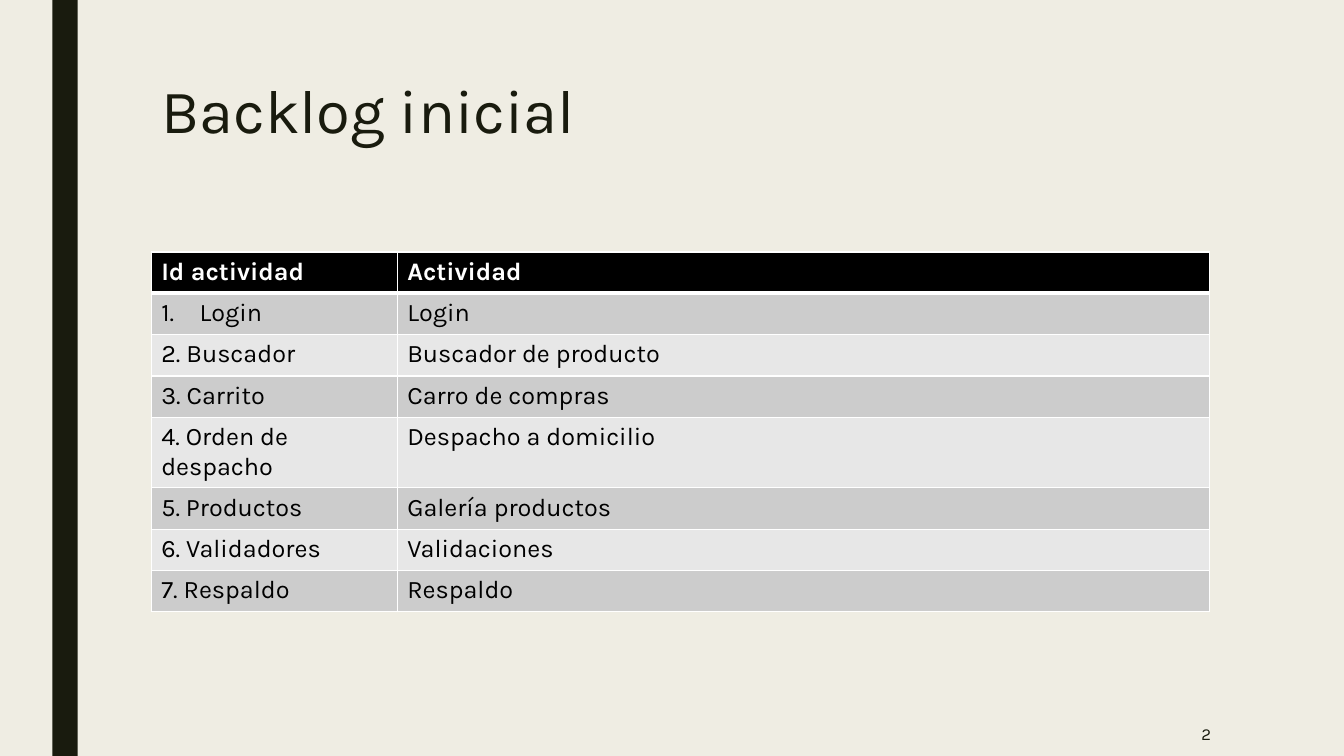
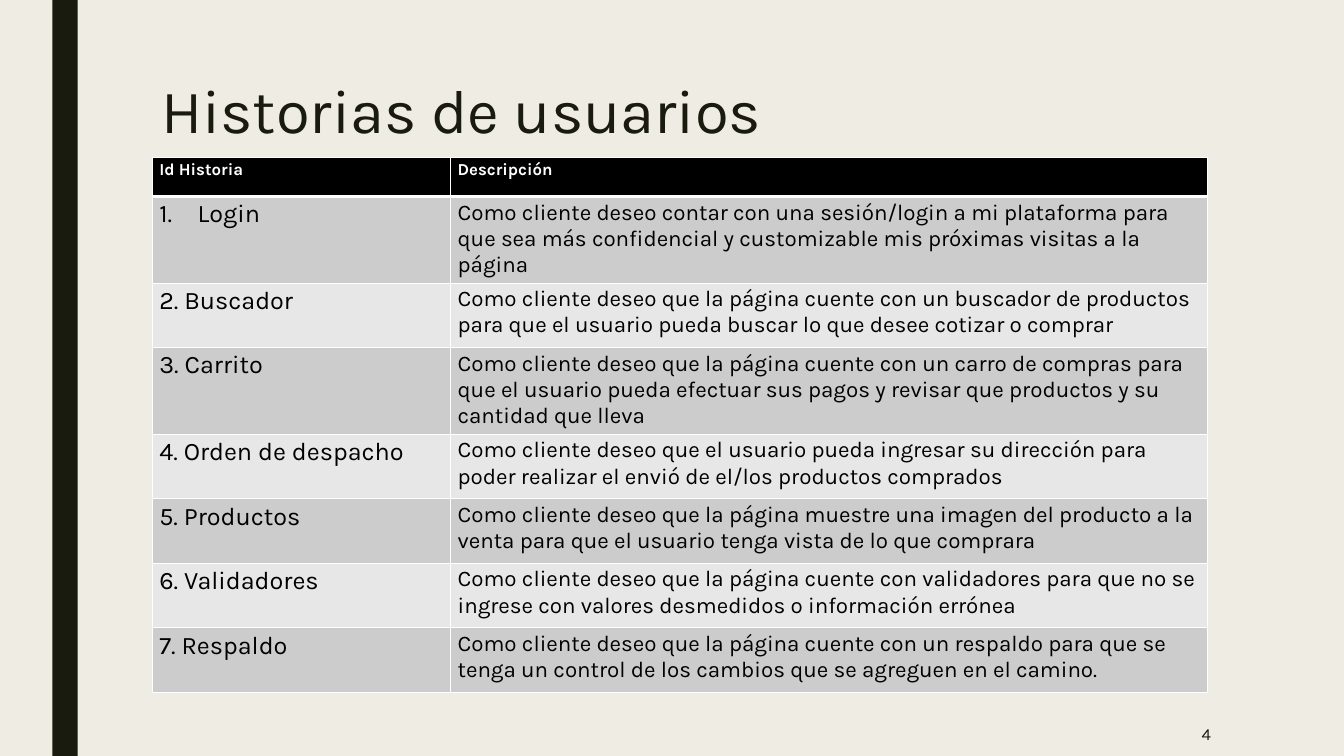
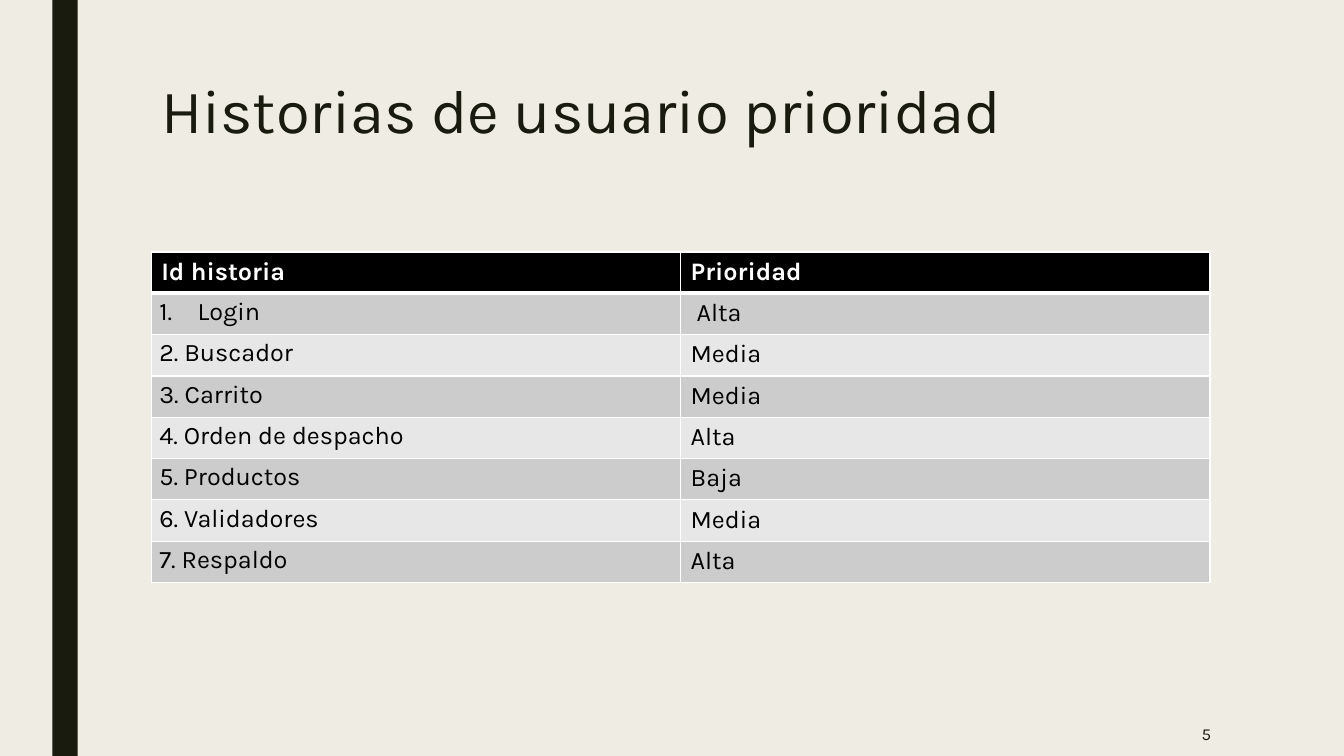
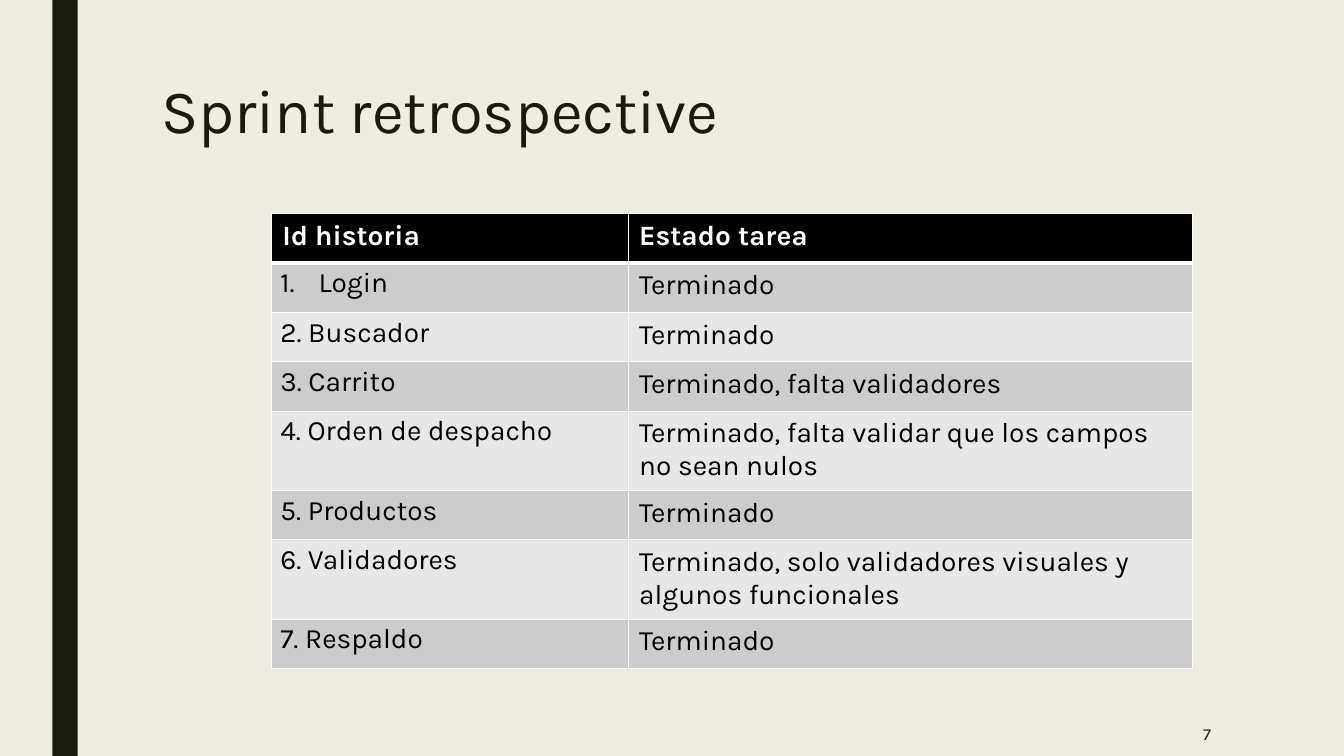
from lxml import etree
from pptx import Presentation
from pptx.dml.color import RGBColor
from pptx.enum.shapes import MSO_SHAPE
from pptx.enum.text import MSO_ANCHOR, PP_ALIGN
from pptx.oxml.ns import qn
from pptx.util import Inches, Pt

RECTANGLE = MSO_SHAPE.RECTANGLE
TOP, MIDDLE = MSO_ANCHOR.TOP, MSO_ANCHOR.MIDDLE
LEFT, RIGHT = PP_ALIGN.LEFT, PP_ALIGN.RIGHT

FONT = "Karla"
COLORS = {
    "paper": "EFEDE3",
    "ink": "191B0E",
    "header": "000000",
    "odd": "CCCCCC",
    "even": "E7E7E7",
    "body": "000000",
    "white": "FFFFFF",
}

STORIES = [
    "Login",
    "2. Buscador",
    "3. Carrito",
    "4. Orden de despacho",
    "5. Productos",
    "6. Validadores",
    "7. Respaldo",
]

SLIDES = [
    {
        "title": "Backlog inicial",
        "number": "2",
        "headings": ("Id actividad", "Actividad"),
        "details": [
            "Login",
            "Buscador de producto",
            "Carro de compras",
            "Despacho a domicilio",
            "Galería productos",
            "Validaciones",
            "Respaldo",
        ],
        "origin": (1.5, 2.5),
        "columns": (2.44, 8.06),
        "row_heights": (0.41, 0.41),
        "sizes": {"heading": 18, "story": 18, "detail": 18},
        "insets": (0.1, 0.05),
        "story_insets": (0.1, 0.05),
    },
    {
        "title": "Historias de usuarios",
        "number": "4",
        "headings": ("Id Historia", "Descripción"),
        "details": [
            "Como cliente deseo contar con una sesión/login a mi plataforma para que sea más "
            "confidencial y customizable mis próximas visitas a la página",
            "Como cliente deseo que la página cuente con un buscador de productos para que el "
            "usuario pueda buscar lo que desee cotizar o comprar",
            "Como cliente deseo que la página cuente con un carro de compras para que el usuario "
            "pueda efectuar sus pagos y revisar que productos y su cantidad que lleva",
            "Como cliente deseo que el usuario pueda ingresar su dirección para poder realizar "
            "el envió de el/los productos comprados",
            "Como cliente deseo que la página muestre una imagen del producto a la venta para "
            "que el usuario tenga vista de lo que comprara",
            "Como cliente deseo que la página cuente con validadores para que no se ingrese con "
            "valores desmedidos o información errónea",
            "Como cliente deseo que la página cuente con un respaldo para que se tenga un "
            "control de los cambios que se agreguen en el camino.",
        ],
        "origin": (1.51, 1.56),
        "columns": (2.96, 7.51),
        "row_heights": (0.39, 0.64),
        "sizes": {"heading": 12, "story": 18, "detail": 16},
        "insets": (0.07, 0.03),
        "story_insets": (0.07, 0.03),
    },
    {
        "title": "Historias de usuario prioridad",
        "number": "5",
        "headings": ("Id historia", "Prioridad"),
        "details": [" Alta", "Media", "Media", "Alta", "Baja", "Media", "Alta"],
        "origin": (1.5, 2.5),
        "columns": (5.25, 5.25),
        "row_heights": (0.41, 0.41),
        "sizes": {"heading": 18, "story": 18, "detail": 18},
        "insets": (0.1, 0.05),
        "story_insets": (0.08, 0.04),
    },
    {
        "title": "Sprint retrospective",
        "number": "7",
        "headings": ("Id historia", "Estado tarea"),
        "details": [
            "Terminado",
            "Terminado",
            "Terminado, falta validadores",
            "Terminado, falta validar que los campos no sean nulos",
            "Terminado",
            "Terminado, solo validadores visuales y algunos funcionales",
            "Terminado",
        ],
        "origin": (2.69, 2.12),
        "columns": (3.54, 5.6),
        "row_heights": (0.49, 0.49),
        "sizes": {"heading": 20, "story": 20, "detail": 20},
        "insets": (0.11, 0.06),
        "story_insets": (0.09, 0.04),
    },
]


def rgb(name):
    return RGBColor.from_string(COLORS[name])


def write(frame, text, size, color, bold=False, align=LEFT, spacing=None):
    frame.word_wrap = True
    paragraph = frame.paragraphs[0]
    paragraph.alignment = align
    if spacing:
        paragraph.line_spacing = spacing
    run = paragraph.add_run()
    run.text = text
    run.font.name = FONT
    run.font.size = Pt(size)
    run.font.bold = bold
    run.font.color.rgb = rgb(color)
    return paragraph


def add_text(slide, box, text, anchor=TOP, **style):
    frame = slide.shapes.add_textbox(*map(Inches, box)).text_frame
    frame.vertical_anchor = anchor
    write(frame, text, **style)


def add_band(slide):
    band = slide.shapes.add_shape(RECTANGLE, Inches(0.52), 0, Inches(0.25), Inches(7.5))
    band.shadow.inherit = False
    band.fill.solid()
    band.fill.fore_color.rgb = rgb("ink")
    band.line.fill.background()


def number_paragraph(paragraph):
    properties = paragraph._p.get_or_add_pPr()
    indent = Inches(0.38)
    properties.set("marL", str(indent))
    properties.set("indent", str(-indent))
    etree.SubElement(properties, qn("a:buFont"), typeface="+mj-lt")
    etree.SubElement(properties, qn("a:buAutoNum"), type="arabicPeriod")


def set_borders(cell, row):
    properties = cell._tc.get_or_add_tcPr()
    widths = {"L": 1, "R": 1, "T": 3 if row == 1 else 1, "B": 3 if row == 0 else 1}
    for side, width in widths.items():
        line = etree.SubElement(properties, qn(f"a:ln{side}"), w=str(Pt(width)))
        fill = etree.SubElement(line, qn("a:solidFill"))
        etree.SubElement(fill, qn("a:srgbClr"), val=COLORS["white"])


def add_story_table(slide, content):
    rows = [content["headings"], *zip(STORIES, content["details"])]
    heading_height, story_height = content["row_heights"]
    heights = [heading_height] + [story_height] * len(STORIES)
    columns = content["columns"]
    table = slide.shapes.add_table(
        len(rows), len(columns), *map(Inches, (*content["origin"], sum(columns), sum(heights)))
    ).table
    for column, width in zip(table.columns, columns):
        column.width = Inches(width)
    for row, height in zip(table.rows, heights):
        row.height = Inches(height)

    for r, texts in enumerate(rows):
        heading = r == 0
        band = "header" if heading else "odd" if r % 2 else "even"
        for c, text in enumerate(texts):
            role = "heading" if heading else ("story", "detail")[c]
            side, edge = map(Inches, content["story_insets" if role == "story" else "insets"])
            cell = table.cell(r, c)
            cell.margin_left = cell.margin_right = side
            cell.margin_top = cell.margin_bottom = edge
            set_borders(cell, r)
            cell.fill.solid()
            cell.fill.fore_color.rgb = rgb(band)
            paragraph = write(
                cell.text_frame, text, size=content["sizes"][role],
                color="white" if heading else "body", bold=heading,
            )
            if (r, c) == (1, 0):
                number_paragraph(paragraph)


def main():
    deck = Presentation()
    deck.slide_width, deck.slide_height = Inches(13.33), Inches(7.5)
    background = deck.slide_master.background.fill
    background.solid()
    background.fore_color.rgb = rgb("paper")
    for content in SLIDES:
        slide = deck.slides.add_slide(deck.slide_layouts[6])
        add_band(slide)
        add_text(slide, (1.5, 0.75, 10.5, 1.62), content["title"],
                 size=44, color="ink", spacing=0.89)
        add_story_table(slide, content)
        add_text(slide, (10.36, 7.06, 1.75, 0.44), content["number"],
                 anchor=MIDDLE, size=12, color="ink", align=RIGHT)
    deck.save("out.pptx")


if __name__ == "__main__":
    main()
